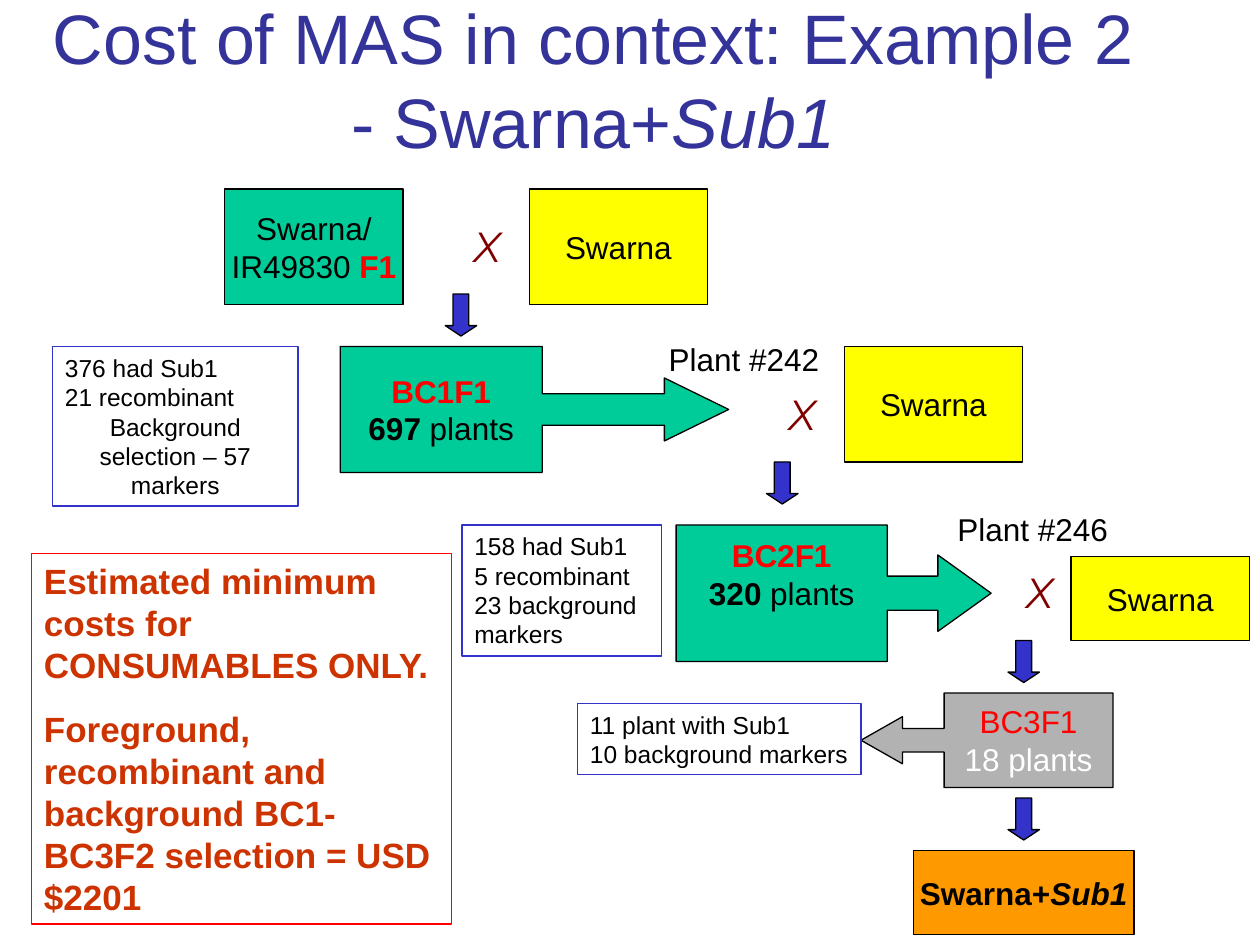
from dataclasses import dataclass
from typing import NamedTuple

from lxml.etree import SubElement
from pptx import Presentation
from pptx.dml.color import RGBColor
from pptx.enum.shapes import MSO_SHAPE
from pptx.enum.text import MSO_ANCHOR, MSO_AUTO_SIZE, PP_ALIGN
from pptx.oxml.ns import qn
from pptx.util import Inches, Pt

COLUMNS, ROWS = 120, 90  # grid over the whole slide


@dataclass(frozen=True)
class Theme:
    font: str = "Arial"
    cross_font: str = "Montserrat"
    title: str = "333399"
    black: str = "000000"
    white: str = "FFFFFF"
    red: str = "FF0000"
    cost: str = "CC3300"
    cross: str = "800000"
    blue: str = "3333CC"
    green: str = "00CC99"
    yellow: str = "FFFF00"
    grey: str = "B2B2B2"
    orange: str = "FF9900"
    title_size: float = 40
    cross_size: float = 24
    cost_size: float = 20
    box_size: float = 18
    note_size: float = 14
    line_width: float = 0.75


THEME = Theme()


class Cell(NamedTuple):
    column: float
    row: float
    columns: float
    rows: float


class Span(NamedTuple):
    text: str
    color: str = THEME.black
    bold: bool = False
    italic: bool = False


class Para(NamedTuple):
    spans: list
    align: PP_ALIGN = PP_ALIGN.LEFT
    space_before: float = 0


class Text(NamedTuple):
    paras: list
    size: float = THEME.box_size
    font: str = THEME.font
    anchor: MSO_ANCHOR = MSO_ANCHOR.MIDDLE
    wrap: bool = False
    bottom: float = 0.05  # inches


class Box(NamedTuple):
    cell: Cell
    text: Text
    fill: str | None = None
    line: str = THEME.black
    kind: MSO_SHAPE = MSO_SHAPE.RECTANGLE
    adjustments: tuple = ()


def place(deck, cell: Cell) -> tuple:
    across, down = deck.slide_width / COLUMNS, deck.slide_height / ROWS
    return (round(cell.column * across), round(cell.row * down),
            round(cell.columns * across), round(cell.rows * down))


def write(shape, text: Text) -> None:
    frame = shape.text_frame
    settings = {"word_wrap": text.wrap, "auto_size": MSO_AUTO_SIZE.NONE,
                "vertical_anchor": text.anchor,
                "margin_left": Inches(0.1), "margin_right": Inches(0.1),
                "margin_top": Inches(0.05), "margin_bottom": Inches(text.bottom)}
    for name, value in settings.items():
        setattr(frame, name, value)
    for index, para in enumerate(text.paras):
        paragraph = frame.add_paragraph() if index else frame.paragraphs[0]
        paragraph.alignment = para.align
        if para.space_before:
            paragraph.space_before = Pt(para.space_before)
        for span in para.spans:
            run = paragraph.add_run()
            run.text = span.text
            run.font.color.rgb = RGBColor.from_string(span.color)
            formats = {"name": text.font, "size": Pt(text.size),
                       "bold": span.bold, "italic": span.italic}
            for name, value in formats.items():
                setattr(run.font, name, value)


def draw_box(deck, page, box: Box) -> None:
    shape = page.shapes.add_shape(box.kind, *place(deck, box.cell))
    shape.shadow.inherit = False
    for index, value in enumerate(box.adjustments):
        shape.adjustments[index] = value
    if box.fill:
        shape.fill.solid()
        shape.fill.fore_color.rgb = RGBColor.from_string(box.fill)
    else:
        shape.fill.background()
    shape.line.color.rgb = RGBColor.from_string(box.line)
    shape.line.width = Pt(THEME.line_width)
    if box.text.paras:
        write(shape, box.text)


def draw_label(deck, page, cell: Cell, text: Text):
    label = page.shapes.add_textbox(*place(deck, cell))
    write(label, text)
    return label


def draw_cross(deck, page, column: float, row: float) -> None:
    para = Para([Span("X", THEME.cross, italic=True)], PP_ALIGN.RIGHT)
    label = draw_label(deck, page, Cell(column, row, 8.5, 4.7),
                       Text([para], THEME.cross_size, THEME.cross_font, wrap=True))
    # Outline of the letter
    properties = label.text_frame.paragraphs[0].runs[0].font._element
    outline = SubElement(properties, qn("a:ln"), w=str(Pt(THEME.line_width)))
    fill = SubElement(outline, qn("a:solidFill"))
    SubElement(fill, qn("a:srgbClr"), val=THEME.cross)
    properties.insert(0, outline)


def centred(*lines: list, bottom: float = 0.05) -> Text:
    return Text([Para(spans, PP_ALIGN.CENTER) for spans in lines], bottom=bottom)


def generation(name: str, count: str, bottom: float = 0.05) -> Text:
    return centred([Span(name, THEME.red, bold=True)],
                   [Span(count, bold=True), Span(" plants")], bottom=bottom)


def note(cell: Cell, *paras: Para, wrap: bool = True) -> Box:
    text = Text(list(paras), THEME.note_size, anchor=MSO_ANCHOR.TOP, wrap=wrap)
    return Box(cell, text, line=THEME.blue)


def line(words: str, align: PP_ALIGN = PP_ALIGN.LEFT) -> Para:
    return Para([Span(words)], align)


SWARNA = centred([Span("Swarna")])
RIGHT_CALLOUT, LEFT_CALLOUT = MSO_SHAPE.RIGHT_ARROW_CALLOUT, MSO_SHAPE.LEFT_ARROW_CALLOUT

BOXES = [
    # Parents
    Box(Cell(21.4, 18, 17, 11),
        centred([Span("Swarna/")], [Span("IR49830 "), Span("F1", THEME.red, bold=True)]),
        THEME.green),
    *[Box(Cell(column, row, 17, rows), SWARNA, THEME.yellow)
      for column, row, rows in [(50.4, 18, 11), (80.4, 33, 11), (102, 53, 8)]],
    # Backcross generations
    Box(Cell(32.4, 33, 37, 12), generation("BC1F1", "697"), THEME.green,
        kind=RIGHT_CALLOUT, adjustments=(0.25, 0.25, 0.51, 0.52)),
    Box(Cell(64.4, 50, 30, 13), generation("BC2F1", "320", bottom=0.35), THEME.green,
        kind=RIGHT_CALLOUT, adjustments=(0.25, 0.28, 0.39, 0.67)),
    Box(Cell(82, 66, 24, 9),
        centred([Span("BC3F1", THEME.red)], [Span("18 plants", THEME.white)]), THEME.grey,
        kind=LEFT_CALLOUT, adjustments=(0.25, 0.25, 0.44, 0.67)),
    Box(Cell(87, 81, 21, 8),
        centred([Span("Swarna+", bold=True), Span("Sub1", bold=True, italic=True)]),
        THEME.orange),
    # Selection notes
    note(Cell(5, 33, 23.4, 15.2), line("376 had Sub1"), line("21 recombinant"),
         line("Background selection – 57 markers", PP_ALIGN.CENTER)),
    note(Cell(44, 50, 19, 12.5), line("158 had Sub1"), line("5 recombinant"),
         line("23 background markers")),
    note(Cell(55, 67, 27, 6.8), line("11 plant with Sub1"),
         line("10 background markers"), wrap=False),
    # Cost summary
    Box(Cell(3, 52.7, 40, 35.3), Text([
        Para([Span("Estimated minimum costs for CONSUMABLES ONLY.", THEME.cost, bold=True)]),
        Para([Span("Foreground, recombinant and background BC1- BC3F2 selection = USD $2201",
                   THEME.cost, bold=True)], space_before=12.5),
    ], THEME.cost_size, anchor=MSO_ANCHOR.TOP, wrap=True), line=THEME.red),
    # Steps down
    *[Box(Cell(column, row, 3, 4), Text([]), THEME.blue,
          kind=MSO_SHAPE.DOWN_ARROW, adjustments=(0.5, 0.33))
      for column, row in [(42.4, 28), (73, 44), (96, 61), (96, 76)]],
]
PLANTS = [("Plant #242", 62.5, 31.8), ("Plant #246", 90, 48)]
CROSSES = [(40.4, 21), (70.4, 37), (93, 54)]


def main() -> None:
    deck = Presentation()
    deck.slide_width, deck.slide_height = Inches(10), Inches(7.5)
    page = deck.slides.add_slide(deck.slide_layouts[6])
    title = Para([Span("Cost of MAS in context: Example 2 - Swarna+", THEME.title),
                  Span("Sub1", THEME.title, italic=True)], PP_ALIGN.CENTER)
    draw_label(deck, page, Cell(2, 2, 109, 11), Text([title], THEME.title_size, wrap=True))
    for box in BOXES:
        draw_box(deck, page, box)
    for words, column, row in PLANTS:
        draw_label(deck, page, Cell(column, row, 16.7, 4.8),
                   Text([line(words)], anchor=MSO_ANCHOR.TOP))
    for column, row in CROSSES:
        draw_cross(deck, page, column, row)
    deck.save("out.pptx")


if __name__ == "__main__":
    main()
